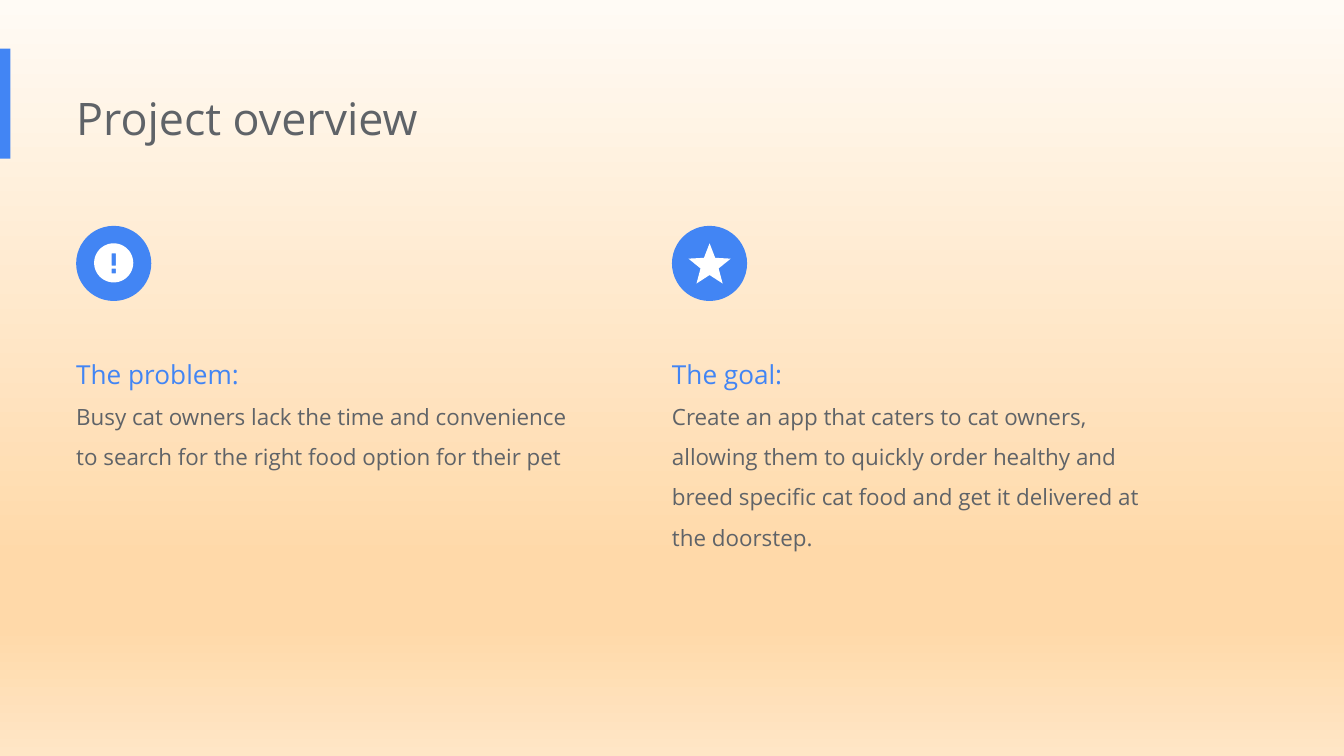
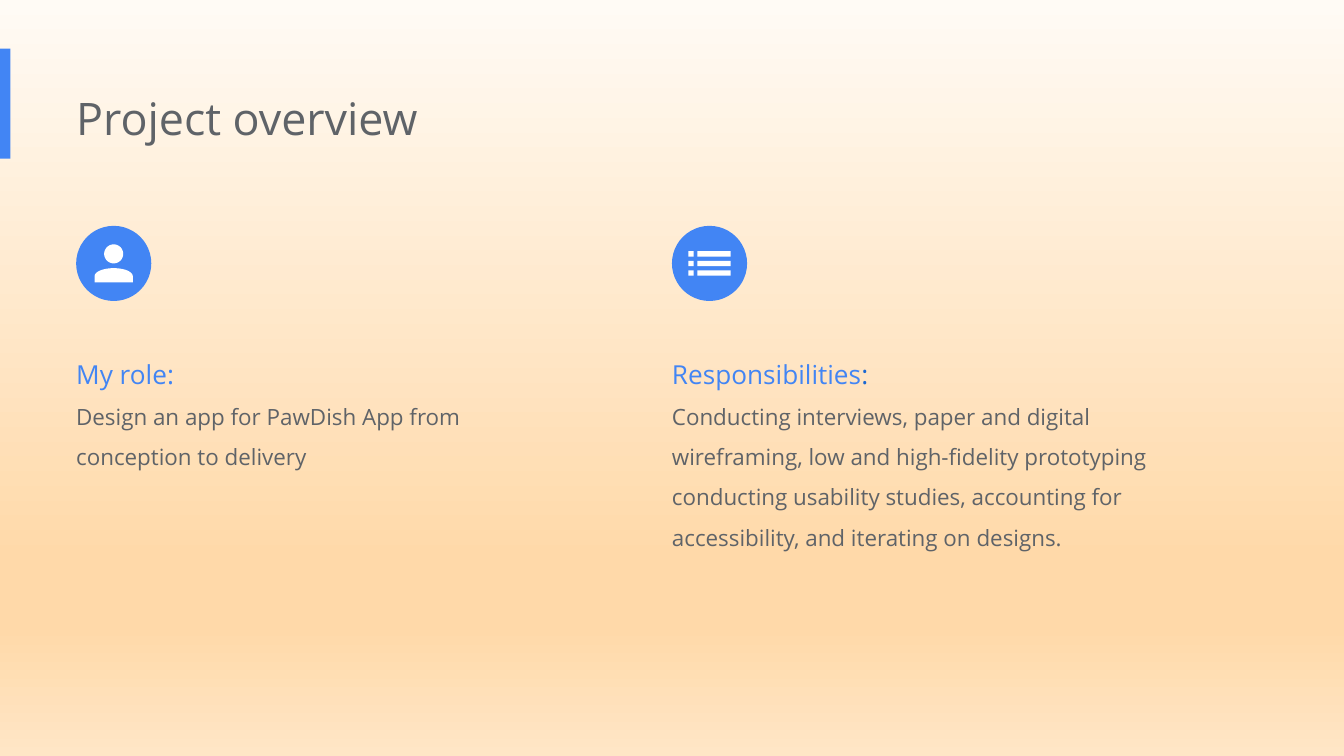
from dataclasses import dataclass
from math import cos, pi, sin

from lxml import etree
from pptx import Presentation
from pptx.dml.color import RGBColor
from pptx.enum.shapes import MSO_SHAPE
from pptx.enum.text import MSO_ANCHOR, MSO_AUTO_SIZE, PP_ALIGN
from pptx.oxml.ns import qn
from pptx.util import Cm, Pt

RECTANGLE, OVAL = MSO_SHAPE.RECTANGLE, MSO_SHAPE.OVAL
TOP, LEFT = MSO_ANCHOR.TOP, PP_ALIGN.LEFT
GROW = MSO_AUTO_SIZE.SHAPE_TO_FIT_TEXT
TITLE_ONLY = 5


@dataclass(frozen=True)
class Theme:
    """Colours, font and type sizes of the deck."""
    accent: str = "4285F4"
    accent_dark: str = "1967D2"
    text: str = "5F6368"
    icon: str = "FFFFFF"
    gradient: tuple = ((0, "FFFBF5"), (74, "FFD9A9"),
                       (83, "FFD9A9"), (100, "FFE6C6"))
    font: str = "Open Sans"
    title_size: int = 24
    heading_size: int = 14
    body_size: int = 12


THEME = Theme()

# Lengths in centimetres
PAGE_WIDTH, PAGE_HEIGHT = 25.4, 14.29
ACCENT_BAR = (0, 0.92, 0.2, 2.08)
TITLE_BOX = (1.44, 1.46, 17.1, 1.55)
COLUMN_LEFTS = (1.44, 12.7)
COLUMN_TOP, COLUMN_WIDTH = 4.27, 9.58
BADGE = 1.42
TEXT_DROP = 1.95
TEXT_HEIGHTS = (2.95, 4.5)


def lengths(*values):
    """Turn centimetres into slide units."""
    return [Cm(value) for value in values]


def paint(shape, colour):
    """Give a shape a flat fill without line or shadow."""
    shape.shadow.inherit = False
    shape.fill.solid()
    shape.fill.fore_color.rgb = RGBColor.from_string(colour)
    shape.line.fill.background()
    return shape


def write(para, text, *, size, colour, spacing=1.0):
    """Add a formatted span to a paragraph."""
    para.alignment = LEFT
    para.line_spacing = spacing
    span = para.add_run()
    span.text = text
    span.font.name = THEME.font
    span.font.size = Pt(size)
    span.font.color.rgb = RGBColor.from_string(colour)


def prepare_frame(box):
    """Set wrapping, insets and growth of a text box."""
    frame = box.text_frame
    frame.word_wrap = True
    frame.auto_size = GROW
    frame.vertical_anchor = TOP
    frame.margin_left = 0
    frame.margin_top = frame.margin_right = frame.margin_bottom = Cm(0.25)
    return frame


# Icon outlines: lists of contours, measured from the badge centre

def arc(centre_y, radius_x, radius_y, sweep=2 * pi, steps=48):
    """Points of an elliptic arc that runs from the left over the top."""
    return [(-radius_x * cos(sweep * step / steps),
             centre_y - radius_y * sin(sweep * step / steps))
            for step in range(steps + 1)]


def block(left, top, right, bottom):
    """Corners of a rectangle."""
    return [(left, top), (right, top), (right, bottom), (left, bottom)]


def alert_icon():
    """Disc with an exclamation mark cut out."""
    return [arc(-0.01, 0.37, 0.37),
            block(-0.04, -0.19, 0.04, 0.04), block(-0.04, 0.1, 0.04, 0.19)]


def star_icon():
    """Five-pointed star."""
    radii = (0.42, 0.18)
    return [[(radii[tip % 2] * sin(tip * pi / 5),
              0.04 - radii[tip % 2] * cos(tip * pi / 5)) for tip in range(10)]]


def person_icon():
    """Head and shoulders."""
    shoulders = arc(0.24, 0.36, 0.15, sweep=pi)
    return [arc(-0.18, 0.18, 0.18), shoulders + [(0.36, 0.36), (-0.36, 0.36)]]


def list_icon():
    """Three rows, each a bullet and a bar."""
    return [block(left, row - 0.05, right, row + 0.05)
            for row in (-0.18, 0, 0.18)
            for left, right in ((-0.4, -0.3), (-0.23, 0.4))]


def add_badge(page, left, top, contours):
    """Draw a round badge with its icon in the middle."""
    paint(page.shapes.add_shape(OVAL, *lengths(left, top, BADGE, BADGE)),
          THEME.accent)
    contours = [[lengths(*point) for point in contour] for contour in contours]
    builder = page.shapes.build_freeform(*contours[0][0], scale=1.0)
    for number, (start, *rest) in enumerate(contours):
        if number:
            builder.move_to(*start)
        builder.add_line_segments(rest, close=True)
    centre = lengths(left + BADGE / 2, top + BADGE / 2)
    paint(builder.convert_to_shape(*centre), THEME.icon)


def add_column(page, left, height, contours, heading, body):
    """Place a badge with a heading and a paragraph below it."""
    add_badge(page, left, COLUMN_TOP, contours)
    box = page.shapes.add_textbox(
        *lengths(left, COLUMN_TOP + TEXT_DROP, COLUMN_WIDTH, height))
    frame = prepare_frame(box)
    for text, colour in heading:
        write(frame.paragraphs[0], text, size=THEME.heading_size,
              colour=colour, spacing=1.5)
    write(frame.add_paragraph(), body, size=THEME.body_size,
          colour=THEME.text, spacing=1.5)


def add_title(page, text):
    """Move and format the title placeholder."""
    title = page.shapes.title
    title.left, title.top, title.width, title.height = lengths(*TITLE_BOX)
    write(prepare_frame(title).paragraphs[0], text,
          size=THEME.title_size, colour=THEME.text)


def set_background(master):
    """Give the master its vertical gradient."""
    fill = master.background.fill
    fill.gradient()
    fill.gradient_angle = 270
    stops = master.element.find(".//" + qn("a:gsLst"))
    for stop in list(stops):
        stops.remove(stop)
    for percent, colour in THEME.gradient:
        stop = etree.SubElement(stops, qn("a:gs"), pos=str(percent * 1000))
        etree.SubElement(stop, qn("a:srgbClr"), val=colour)


def add_accent_bar(page):
    """Draw the bar at the left edge beside the title."""
    paint(page.shapes.add_shape(RECTANGLE, *lengths(*ACCENT_BAR)),
          THEME.accent)


def add_overview_page(deck, columns):
    """Build a titled page with two columns."""
    page = deck.slides.add_slide(deck.slide_layouts[TITLE_ONLY])
    add_accent_bar(page)
    add_title(page, "Project overview")
    for left, height, column in zip(COLUMN_LEFTS, TEXT_HEIGHTS, columns):
        add_column(page, left, height, *column)


PAGES = (
    ((alert_icon(), [("The problem:", THEME.accent)],
      "Busy cat owners lack the time and convenience to search for the "
      "right food option for their pet"),
     (star_icon(), [("The goal:", THEME.accent)],
      "Create an app that caters to cat owners, allowing them to quickly "
      "order healthy and breed specific cat food and get it delivered at "
      "the doorstep.")),
    ((person_icon(), [("My role:", THEME.accent)],
      "Design an app for PawDish App from conception to delivery"),
     (list_icon(), [("Responsibilities", THEME.accent),
                    (":", THEME.accent_dark)],
      "Conducting interviews, paper and digital wireframing, low and "
      "high-fidelity prototyping conducting usability studies, accounting "
      "for accessibility, and iterating on designs.")),
)

deck = Presentation()
deck.slide_width, deck.slide_height = lengths(PAGE_WIDTH, PAGE_HEIGHT)
set_background(deck.slide_master)
for columns in PAGES:
    add_overview_page(deck, columns)
deck.save("out.pptx")
